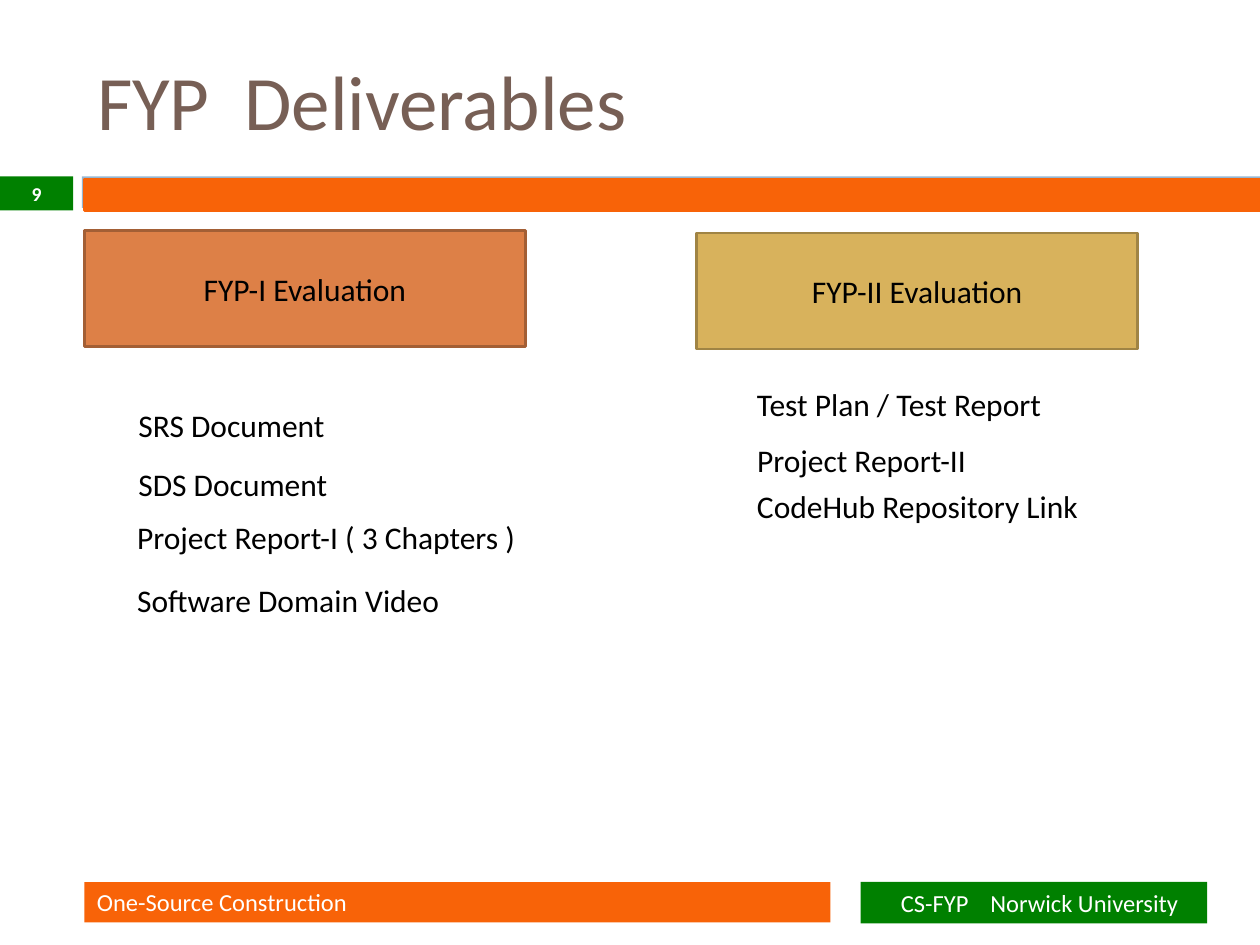
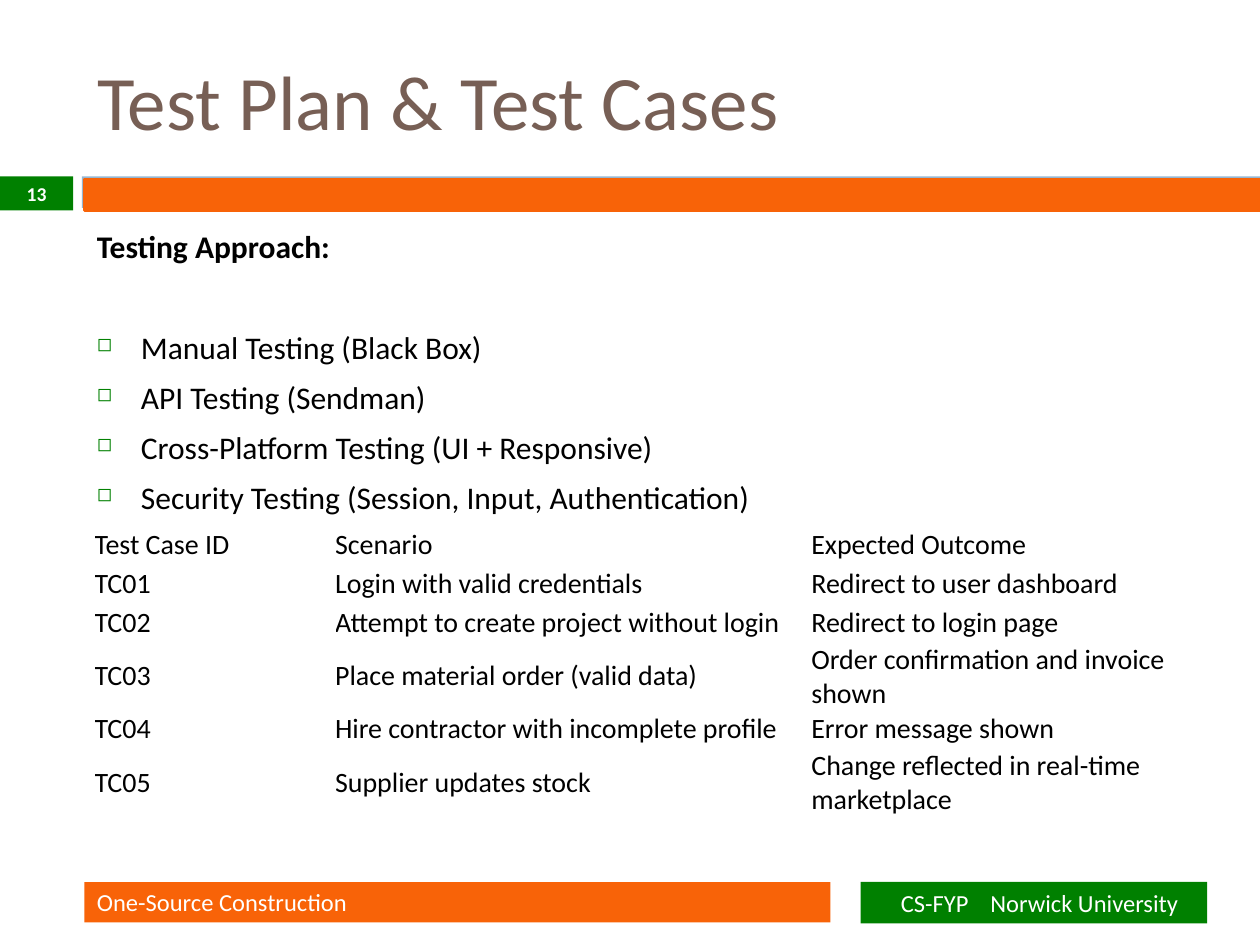
from lxml import etree
from pptx import Presentation
from pptx.dml.color import RGBColor
from pptx.enum.shapes import MSO_SHAPE
from pptx.enum.text import MSO_ANCHOR, PP_ALIGN
from pptx.oxml.ns import qn
from pptx.util import Inches, Pt

RECT = MSO_SHAPE.RECTANGLE
MID, TOP = MSO_ANCHOR.MIDDLE, MSO_ANCHOR.TOP
LEFT, MIDDLE, JUST = PP_ALIGN.LEFT, PP_ALIGN.CENTER, PP_ALIGN.JUSTIFY

FONT = "Calibri"
ORANGE, GREEN, BLUE = "F86308", "008000", "94B6D2"
BROWN, BLACK, WHITE = "775F55", "000000", "FFFFFF"
EDGE = 0.67  # left edge of the content


def color(code):
    return RGBColor.from_string(code)


def place(shape, box):
    shape.left, shape.top, shape.width, shape.height = map(Inches, box)


def style(para, size, ink=BLACK, bold=False, align=LEFT):
    para.alignment = align
    font = para.font
    font.name, font.size, font.bold = FONT, Pt(size), bold
    font.color.rgb = color(ink)


def add_rect(slide, box, fill, line=None, text="", **look):
    shape = slide.shapes.add_shape(RECT, *map(Inches, box))
    shape.shadow.inherit = False
    shape.fill.solid()
    shape.fill.fore_color.rgb = color(fill)
    if line:
        shape.line.color.rgb = color(line)
        shape.line.width = Pt(1.5)
    else:
        shape.line.fill.background()
    if text:
        frame = shape.text_frame
        frame.vertical_anchor = MID
        frame.text = text
        style(frame.paragraphs[0], **look)
    return shape


def add_text(slide, box):
    frame = slide.shapes.add_textbox(*map(Inches, box)).text_frame
    frame.word_wrap = True
    frame.vertical_anchor = TOP
    return frame


def add_tab(para, pos):
    tabs = etree.SubElement(para._p.get_or_add_pPr(), qn("a:tabLst"))
    etree.SubElement(tabs, qn("a:tab"), pos=str(Inches(pos)), algn="l")


def add_bullet(para, indent):
    props = para._p.get_or_add_pPr()
    props.set("marL", str(Inches(indent)))
    props.set("indent", str(-Inches(indent)))
    tint = etree.Element(qn("a:buClr"))
    etree.SubElement(tint, qn("a:srgbClr"), val=GREEN)
    size = etree.Element(qn("a:buSzPct"), val="60000")
    mark = etree.Element(qn("a:buChar"), char="◻")
    # Bullet marks come before the default run properties
    for part in (tint, size, mark):
        props.find(qn("a:defRPr")).addprevious(part)


def add_base(deck, title, number):
    """Title, bands, slide number and footer."""
    slide = deck.slides.add_slide(deck.slide_layouts[5])
    head = slide.shapes.title
    place(head, (EDGE, 0.25, 8.33, 1.08))
    head.text_frame.text = title
    head.text_frame.vertical_anchor = MID
    style(head.text_frame.paragraphs[0], 44, BROWN)

    # Bands under the title
    add_rect(slide, (0.65, 1.4, 9.35, 0.25), BLUE)
    add_rect(slide, (EDGE, 1.42, 9.33, 0.25), ORANGE, ORANGE)
    add_rect(slide, (0, 1.4, 0.58, 0.27), GREEN, text=number,
             size=11.2, ink=WHITE, bold=True, align=MIDDLE)

    # Footer
    add_rect(slide, (EDGE, 7, 5.92, 0.32), ORANGE,
             text="One-Source Construction", size=14, ink=WHITE)
    school = add_rect(slide, (6.83, 7, 2.75, 0.33), GREEN,
                      text="CS-FYP\tNorwick University", size=14, ink=WHITE)
    frame = school.text_frame
    frame.margin_left, frame.margin_right = Inches(0.32), 0
    para = frame.paragraphs[0]
    add_tab(para, 0.71)
    # Tab stops come before the default run properties
    props = para._p.pPr
    props.append(props.find(qn("a:defRPr")))
    return slide


def add_stage(slide, x, y, name, fill, line, items):
    """Heading box with its list; items hold text, offsets and width."""
    add_rect(slide, (x, y, 3.5, 0.92), fill, line, name, size=18, align=MIDDLE)
    for text, dx, dy, width in items:
        frame = add_text(slide, (x + dx, y + dy, width, 0.4))
        frame.text = text
        style(frame.paragraphs[0], 18)


def add_list(slide, box, head, items):
    frame = add_text(slide, box)
    frame.text = head
    para = frame.paragraphs[0]
    style(para, 18, bold=True)
    para.space_after = Pt(29)
    for text in items:
        para = frame.add_paragraph()
        para.text = text
        style(para, 18, align=JUST)
        para.space_before = Pt(7)
        add_bullet(para, 0.35)


def add_grid(slide, x, y, widths, height, rows):
    size = (x, y, sum(widths), height * len(rows))
    table = slide.shapes.add_table(
        len(rows), len(widths), *map(Inches, size)).table
    table.first_row = table.horz_banding = False
    for col, width in zip(table.columns, widths):
        col.width = Inches(width)
    for row, texts in zip(table.rows, rows):
        row.height = Inches(height)
        for cell, text in zip(row.cells, texts):
            cell.fill.background()
            cell.vertical_anchor = MID
            cell.margin_left = cell.margin_right = 0
            cell.margin_top = cell.margin_bottom = 0
            cell.text = text
            style(cell.text_frame.paragraphs[0], 16)


def add_goals(deck):
    slide = add_base(deck, "FYP  Deliverables", "9")
    add_stage(slide, EDGE, 1.83, "FYP-I Evaluation", "DD8047", "A35F35", [
        ("SRS Document", 0.33, 1.34, 2.01),
        ("SDS Document", 0.33, 1.81, 2.01),
        ("Project Report-I ( 3 Chapters )", 0.32, 2.23, 3.58),
        ("Software Domain Video", 0.32, 2.73, 2.85),
    ])
    add_stage(slide, 5.53, 1.85, "FYP-II Evaluation", "D8B25C", "A08444", [
        ("Test Plan / Test Report", 0.38, 1.16, 2.74),
        ("Project Report-II", 0.38, 1.6, 2.11),
        ("CodeHub Repository Link", 0.38, 1.97, 2.8),
    ])


def add_tests(deck):
    slide = add_base(deck, "Test Plan & Test Cases", "13")
    add_list(slide, (EDGE, 1.75, 8.92, 4.92), "Testing Approach:", [
        "Manual Testing (Black Box)",
        "API Testing (Sendman)",
        "Cross-Platform Testing (UI + Responsive)",
        "Security Testing (Session, Input, Authentication)",
    ])
    add_grid(slide, 0.75, 4.17, (1.91, 3.78, 2.91), 0.31, [
        ("Test Case ID", "Scenario", "Expected Outcome"),
        ("TC01", "Login with valid credentials", "Redirect to user dashboard"),
        ("TC02", "Attempt to create project without login",
         "Redirect to login page"),
        ("TC03", "Place material order (valid data)",
         "Order confirmation and invoice shown"),
        ("TC04", "Hire contractor with incomplete profile",
         "Error message shown"),
        ("TC05", "Supplier updates stock",
         "Change reflected in real-time marketplace"),
    ])


def main():
    deck = Presentation()
    deck.slide_width, deck.slide_height = Inches(10), Inches(7.5)
    add_goals(deck)
    add_tests(deck)
    deck.save("out.pptx")


if __name__ == "__main__":
    main()
